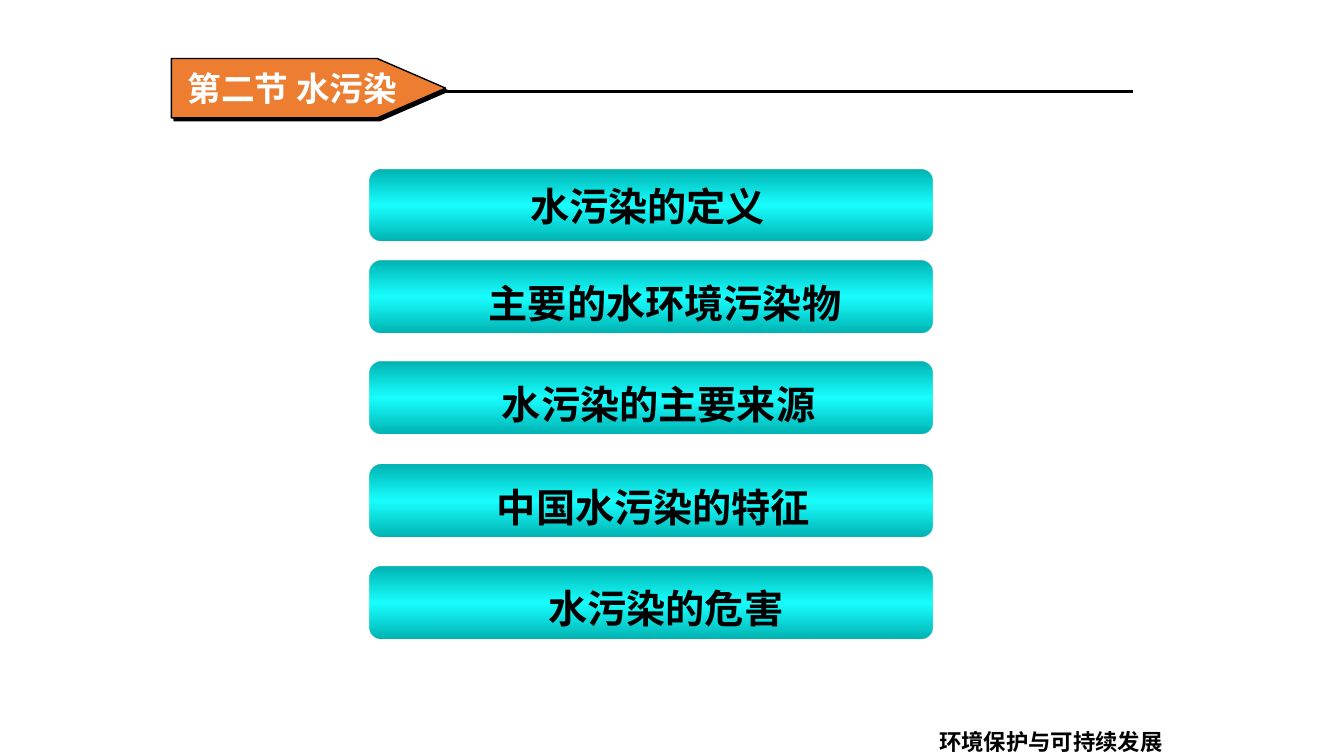
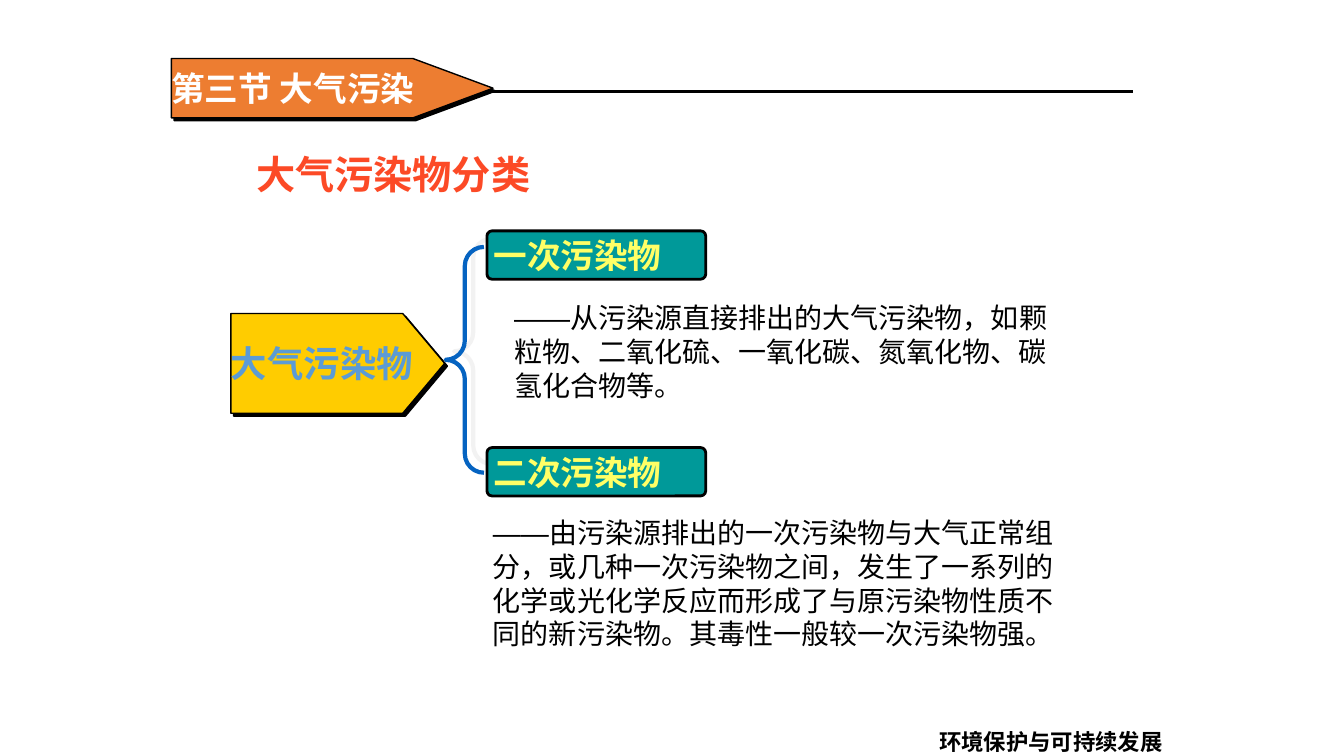
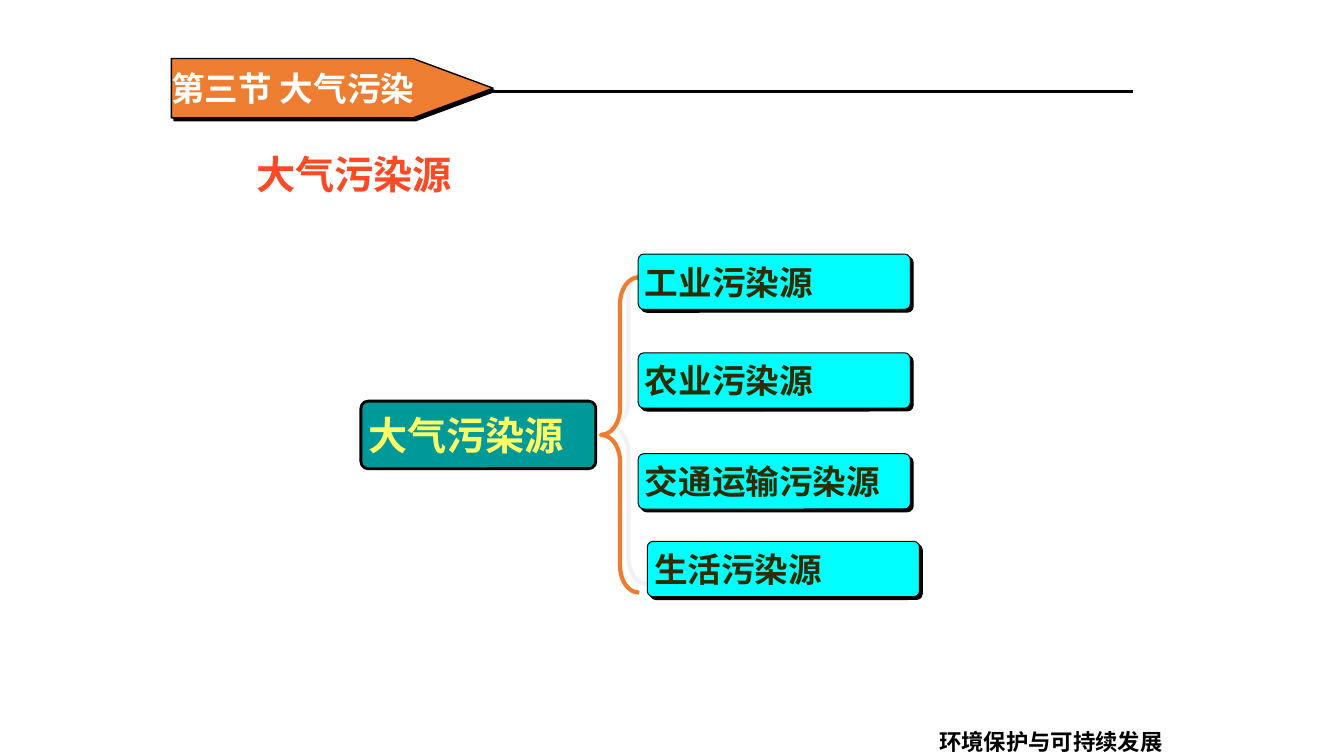
import pptx
import pptx.util
import pptx.dml.color
import pptx.enum.shapes
import pptx.enum.text
import pptx.oxml
import pptx.oxml.ns
from lxml import etree

Inches = pptx.util.Inches
Pt = pptx.util.Pt
RGBColor = pptx.dml.color.RGBColor
qn = pptx.oxml.ns.qn
MSO_SHAPE = pptx.enum.shapes.MSO_SHAPE
PP_ALIGN = pptx.enum.text.PP_ALIGN
MSO_ANCHOR = pptx.enum.text.MSO_ANCHOR

BLACK = RGBColor(0x00, 0x00, 0x00)
WHITE = RGBColor(0xFF, 0xFF, 0xFF)
ORANGE = RGBColor(0xED, 0x7D, 0x31)
RED = RGBColor(0xFC, 0x4A, 0x26)
GOLD = RGBColor(0xFF, 0xCC, 0x00)
SKY = RGBColor(0x5B, 0x9B, 0xD5)
BLUE = RGBColor(0x05, 0x63, 0xC1)
TEAL = RGBColor(0x00, 0x99, 0x99)
YELLOW = RGBColor(0xFF, 0xFF, 0x66)
CYAN = RGBColor(0x00, 0xFF, 0xFF)
DARK_CYAN = RGBColor(0x00, 0xB2, 0xB2)
OLIVE = RGBColor(0x2C, 0x2C, 0x00)
GREY = RGBColor(0xE7, 0xE6, 0xE6)

CJK = "Noto Sans CJK SC"
HARD_SHADOW = (BLACK, 100, 2.8, 45)
SOFT_SHADOW = (GREY, 50, 8.5, 315)


def add_block(slide, kind, box, adjustments, fill=None, line=None, width=1, shadow=None):
    shape = slide.shapes.add_shape(kind, *map(Inches, box))
    for index, value in enumerate(adjustments):
        shape.adjustments[index] = value
    if fill is None:
        shape.fill.background()
    else:
        shape.fill.solid()
        shape.fill.fore_color.rgb = fill
    if line is None:
        shape.line.fill.background()
    else:
        shape.line.color.rgb = line
        shape.line.width = Pt(width)
    shape.shadow.inherit = False
    if shadow:
        color, alpha, distance, angle = shadow
        effects = shape._element.spPr.find(qn("a:effectLst"))
        outer = etree.SubElement(effects, qn("a:outerShdw"), blurRad="0", dist=str(Pt(distance)),
                                 dir=str(angle * 60000), algn="ctr", rotWithShape="0")
        tone = etree.SubElement(outer, qn("a:srgbClr"), val=str(color))
        etree.SubElement(tone, qn("a:alpha"), val=str(alpha * 1000))
    return shape


def write(shape, runs, size, color, bold=True, align=PP_ALIGN.LEFT, spacing=1.0,
          margin=0.1, anchor=MSO_ANCHOR.MIDDLE):
    frame = shape.text_frame
    frame.word_wrap = True
    frame.auto_size = pptx.enum.text.MSO_AUTO_SIZE.NONE
    frame.vertical_anchor = anchor
    frame.margin_left = frame.margin_right = Inches(margin)
    frame.margin_top = frame.margin_bottom = Inches(0.05)
    paragraph = frame.paragraphs[0]
    paragraph.alignment = align
    paragraph.line_spacing = spacing
    paragraph.font.size = Pt(size)
    paragraph.font.bold = bold
    paragraph.font.color.rgb = color
    for text, name in runs:
        run = paragraph.add_run()
        run.text = text
        font = paragraph.font if len(runs) == 1 else run.font
        font.name = name
        etree.SubElement(font._element, qn("a:ea"), typeface=name)


presentation = pptx.Presentation()
presentation.slide_width = Inches(13.33)
presentation.slide_height = Inches(7.5)

sections = [
    ("第二节 水污染", 2.72, 1.152, None),
    ("第三节 大气污染", 3.19, 1.349, "大气污染物分类"),
    ("第三节 大气污染", 3.19, 1.349, "大气污染源"),
]
slides = []
for section, banner_width, point, heading in sections:
    slide = presentation.slides.add_slide(presentation.slide_layouts[5])
    slides.append(slide)
    rule = slide.shapes.add_connector(pptx.enum.shapes.MSO_CONNECTOR.STRAIGHT,
                                      Inches(2.09), Inches(0.91), Inches(11.24), Inches(0.91))
    rule.line.color.rgb = BLACK
    rule.line.width = Pt(2.25)
    etree.SubElement(rule._element.spPr, qn("a:effectLst"))
    footer = slide.shapes.add_textbox(Inches(8.46), Inches(7.17), Inches(3.17), Inches(0.33))
    write(footer, [("环境保护与可持续发展", "DejaVu Sans")], 16, BLACK,
          align=PP_ALIGN.RIGHT, anchor=MSO_ANCHOR.TOP)
    banner = add_block(slide, MSO_SHAPE.PENTAGON, (1.7, 0.58, banner_width, 0.59), [point],
                       ORANGE, BLACK, 1, HARD_SHADOW)
    title = slide.shapes.title
    if heading:
        title.left, title.top, title.width, title.height = map(Inches, (2.44, 1.2, 3.22, 0.81))
        write(title, [(heading, CJK)], 28, RED, spacing=1.5)
        write(banner, [(section, CJK)], 24, WHITE, margin=0)
    else:
        title.left, title.top, title.width, title.height = map(Inches, (1.7, 0.58, 2.4, 0.59))
        write(title, [(section, CJK)], 24, WHITE, align=PP_ALIGN.CENTER, margin=0)
        slide.shapes._spTree.append(title._element)

topics_slide, classes_slide, sources_slide = slides

topics = [
    ("水污染的定义", 1.68, 5.16, 1.52),
    ("主要的水环境污染物", 2.59, 4.75, 2.48),
    ("水污染的主要来源", 3.59, 4.88, 3.48),
    ("中国水污染的特征", 4.61, 4.83, 4.51),
    ("水污染的危害", 5.62, 5.34, 5.51),
]
for topic, bar_top, label_left, label_top in topics:
    bar = add_block(topics_slide, MSO_SHAPE.ROUNDED_RECTANGLE, (3.67, bar_top, 5.58, 0.71), [0.167])
    bar.fill.gradient()
    bar.fill.gradient_angle = 90
    stops = bar._element.spPr.find(qn("a:gradFill")).find(qn("a:gsLst"))
    for stop in list(stops):
        stops.remove(stop)
    for position, color, alpha in ((0, DARK_CYAN, 100), (50, CYAN, 90), (100, DARK_CYAN, 100)):
        stop = etree.SubElement(stops, qn("a:gs"), pos=str(position * 1000))
        tone = etree.SubElement(stop, qn("a:srgbClr"), val=str(color))
        etree.SubElement(tone, qn("a:alpha"), val=str(alpha * 1000))
    label = topics_slide.shapes.add_textbox(Inches(label_left), Inches(label_top), Inches(3.89), Inches(0.81))
    write(label, [(topic, CJK)], 28, BLACK, spacing=1.5)

pollutants = add_block(classes_slide, MSO_SHAPE.PENTAGON, (2.29, 3.11, 2.12, 0.99), [0.42],
                       GOLD, BLACK, 1, HARD_SHADOW)
write(pollutants, [("大气污染物", "Arial")], 26, SKY, margin=0)
add_block(classes_slide, MSO_SHAPE.LEFT_BRACE, (4.42, 2.45, 0.38, 2.24), [0.498, 0.5],
          None, BLUE, 3, SOFT_SHADOW)
pollutant_classes = [
    ("一次污染物", 2.29, (5, 2.93, 5.55, 1.11),
     "从污染源直接排出的大气污染物，如颗粒物、二氧化硫、一氧化碳、氮氧化物、碳氢化合物等。"),
    ("二次污染物", 4.44, (4.79, 5.06, 5.88, 1.45),
     "由污染源排出的一次污染物与大气正常组分，或几种一次污染物之间，发生了一系列的化学或光化学反应"
     "而形成了与原污染物性质不同的新污染物。其毒性一般较一次污染物强。"),
]
for name, top, definition_box, definition in pollutant_classes:
    block = add_block(classes_slide, MSO_SHAPE.ROUNDED_RECTANGLE, (4.83, top, 2.17, 0.48), [0.106],
                      TEAL, BLACK, 2)
    write(block, [(name, CJK)], 24, YELLOW, margin=0.05)
    textbox = classes_slide.shapes.add_textbox(*map(Inches, definition_box))
    write(textbox, [("——", "Arial"), (definition, CJK)], 20, BLACK, bold=False)

root = add_block(sources_slide, MSO_SHAPE.ROUNDED_RECTANGLE, (3.58, 3.98, 2.33, 0.67), [0.106],
                 TEAL, BLACK, 2)
write(root, [("大气污染源", CJK)], 28, YELLOW, margin=0.05)
add_block(sources_slide, MSO_SHAPE.LEFT_BRACE, (5.96, 2.75, 0.38, 3.13), [0.695, 0.5],
          None, ORANGE, 3, SOFT_SHADOW)
pollution_sources = [
    ("工业污染源", 6.33, 2.52),
    ("农业污染源", 6.33, 3.5),
    ("交通运输污染源", 6.33, 4.5),
    ("生活污染源", 6.42, 5.37),
]
for name, left, top in pollution_sources:
    block = add_block(sources_slide, MSO_SHAPE.ROUNDED_RECTANGLE, (left, top, 2.7, 0.55), [0.106],
                      CYAN, BLACK, 0.75, HARD_SHADOW)
    write(block, [(name, CJK)], 24, OLIVE, margin=0.05)

presentation.save("out.pptx")
